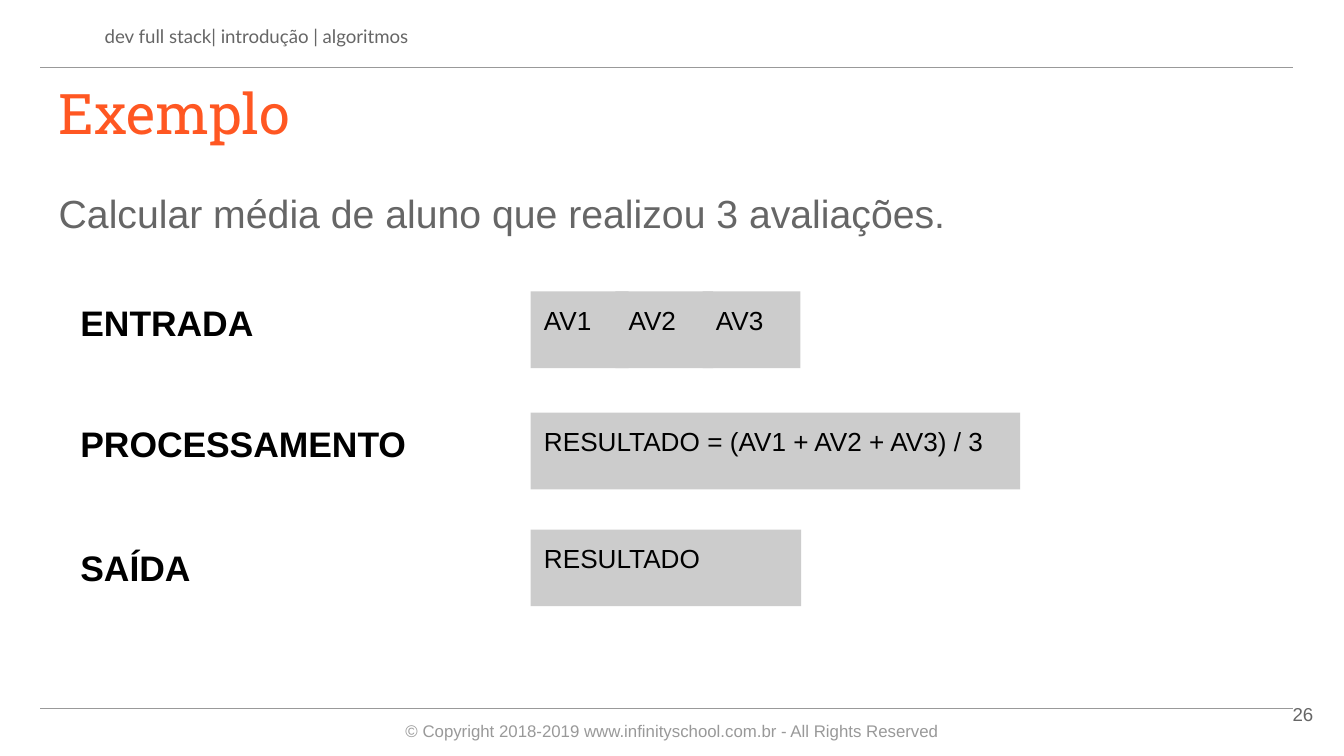
from dataclasses import dataclass

from pptx import Presentation
from pptx.dml.color import RGBColor
from pptx.enum.shapes import MSO_CONNECTOR, MSO_SHAPE
from pptx.enum.text import MSO_ANCHOR, PP_ALIGN
from pptx.oxml.ns import qn
from pptx.util import Cm, Pt

RECT = MSO_SHAPE.RECTANGLE
LINE = MSO_CONNECTOR.STRAIGHT
TOP, MIDDLE = MSO_ANCHOR.TOP, MSO_ANCHOR.MIDDLE
LEFT, CENTER, RIGHT = PP_ALIGN.LEFT, PP_ALIGN.CENTER, PP_ALIGN.RIGHT

COLORS = {
    "title": "FF5722",
    "body": "666666",
    "rule": "999999",
    "box": "CCCCCC",
    "ink": "000000",
}
INSET = Cm(0.25)
MARGIN, WIDE = 0.86, 23.67
BOX_HIGH = 1.45


@dataclass
class Style:
    size: float
    color: str
    font: str = "Arial"
    bold: bool = False
    align: PP_ALIGN = LEFT
    anchor: MSO_ANCHOR = TOP


@dataclass
class Box:
    text: str
    left: float
    width: float


@dataclass
class Step:
    name: str
    top: float
    box_top: float
    boxes: list[Box]


FOOTER = Style(9, "rule", align=CENTER, anchor=MIDDLE)
HEADER = Style(10, "body", font="Lato", anchor=MIDDLE)
TITLE = Style(30, "title", font="Roboto Slab")
BODY = Style(21, "body")
LABEL = Style(19, "ink", bold=True)
VALUE = Style(14, "ink")
NUMBER = Style(10, "body", align=RIGHT, anchor=MIDDLE)

STEPS = [
    Step("ENTRADA", 5.44, 5.51, [
        Box("AV1", 10.03, 1.85),
        Box("AV2", 11.63, 1.85),
        Box("AV3", 13.28, 1.85),
    ]),
    Step("PROCESSAMENTO", 7.72, 7.8, [
        Box("RESULTADO = (AV1 + AV2 + AV3) / 3", 10.03, 9.25),
    ]),
    Step("SAÍDA", 10.08, 10.01, [Box("RESULTADO", 10.03, 5.11)]),
]


def paint(name: str) -> RGBColor:
    return RGBColor.from_string(COLORS[name])


def write(shape, text: str, style: Style):
    """Put styled text in a shape and return its paragraph."""
    frame = shape.text_frame
    frame.text = text
    frame.word_wrap = True
    frame.vertical_anchor = style.anchor
    frame.margin_left = frame.margin_right = INSET
    frame.margin_top = frame.margin_bottom = INSET
    para = frame.paragraphs[0]
    para.alignment = style.align
    font = para.runs[0].font
    font.name, font.size, font.bold = style.font, Pt(style.size), style.bold
    font.color.rgb = paint(style.color)
    return para


def add_text(slide, text: str, style: Style, left: float, top: float,
             width: float, height: float):
    shape = slide.shapes.add_textbox(Cm(left), Cm(top), Cm(width), Cm(height))
    return write(shape, text, style)


def add_rule(slide, top: float) -> None:
    rule = slide.shapes.add_connector(
        LINE, Cm(0.76), Cm(top), Cm(24.43), Cm(top))
    rule.line.color.rgb = paint("rule")
    rule.line.width = Pt(0.75)
    props = rule._element.spPr
    props.append(props.makeelement(qn("a:effectLst"), {}))


def add_step(slide, step: Step) -> None:
    add_text(slide, step.name, LABEL, 1.27, step.top, 11.15, 1.6)
    for box in step.boxes:
        shape = slide.shapes.add_shape(
            RECT, Cm(box.left), Cm(step.box_top), Cm(box.width), Cm(BOX_HIGH))
        shape.shadow.inherit = False
        shape.fill.solid()
        shape.fill.fore_color.rgb = paint("box")
        shape.line.fill.background()
        write(shape, box.text, VALUE)


def main() -> None:
    deck = Presentation()
    deck.slide_width, deck.slide_height = Cm(25.4), Cm(14.29)
    slide = deck.slides.add_slide(deck.slide_layouts[6])

    add_rule(slide, 1.27)
    add_text(
        slide,
        "© Copyright 2018-2019 www.infinityschool.com.br - All Rights Reserved",
        FOOTER, MARGIN, 13.39, WIDE, 0.86)
    add_rule(slide, 13.39)
    add_text(slide, "dev full stack| introdução | algoritmos",
             HEADER, 1.73, 0.25, 22.58, 0.86)
    add_text(slide, "Exemplo", TITLE, MARGIN, 1.24, WIDE, 1.6)
    task = add_text(
        slide, "Calcular média de aluno que realizou 3 avaliações.",
        BODY, MARGIN, 3.2, WIDE, 9.5)
    task.line_spacing = 1.15
    task.space_after = Pt(16)
    for step in STEPS:
        add_step(slide, step)
    add_text(slide, "26", NUMBER, 23.55, 12.95, 1.52, 1.09)

    deck.save("out.pptx")


if __name__ == "__main__":
    main()
